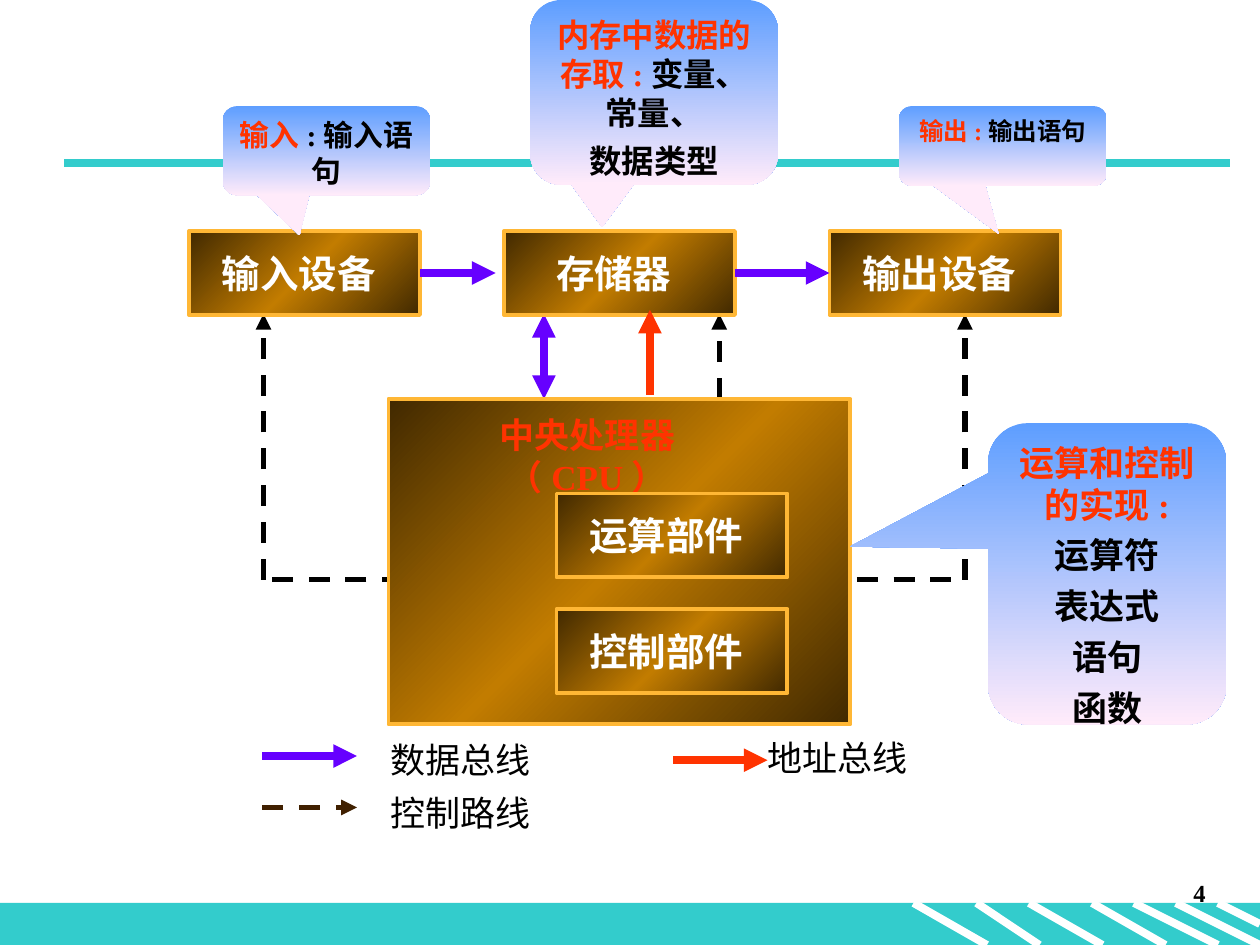
import copy
from dataclasses import dataclass

import pptx
import pptx.dml.color
import pptx.enum.dml
import pptx.enum.shapes
import pptx.enum.text
import pptx.oxml.ns
import pptx.oxml.xmlchemy
import pptx.util

CELLS_PER_INCH = 12
COLUMNS, ROWS = 120, 90
DEVICE_WIDTH, DEVICE_HEIGHT = 22, 8
qn = pptx.oxml.ns.qn
SHAPES = pptx.enum.shapes.MSO_SHAPE
ALIGN = pptx.enum.text.PP_ALIGN


@dataclass(frozen=True)
class Theme:
    teal: str = "33CCCC"
    white: str = "FFFFFF"
    black: str = "000000"
    red: str = "FF3300"
    purple: str = "6600FF"
    brown: str = "402000"
    gold: str = "FFB735"
    bronze: tuple = ("412900", "C27C00", "412900")
    sky: tuple = ("5E9EFF", "FFEBFA")
    serif: str = "Times New Roman"
    sans: str = "Noto Sans CJK SC"
    device_size: float = 22
    label_size: float = 20
    number_size: float = 14
    thick: float = 4.5
    thin: float = 3
    border: float = 2.25


THEME = Theme()


@dataclass(frozen=True)
class Area:
    column: float
    row: float
    width: float
    height: float


@dataclass(frozen=True)
class Route:
    begin: tuple
    end: tuple
    color: str
    width: float = THEME.thick
    dashed: bool = False
    heads: tuple = ("tailEnd",)


@dataclass(frozen=True)
class Callout:
    area: Area
    pointer: tuple
    size: float
    paragraphs: list


def cells(count: float) -> int:
    return pptx.util.Inches(count / CELLS_PER_INCH)


def rgb(value: str):
    return pptx.dml.color.RGBColor.from_string(value)


def place(area: Area) -> tuple:
    return tuple(cells(n) for n in (area.column, area.row, area.width, area.height))


def write_text(frame, paragraphs, *, size, color=THEME.black, font=THEME.serif,
               bold=True, align=ALIGN.CENTER, space=5, side_margin=0.1):
    frame.word_wrap = True
    frame.vertical_anchor = pptx.enum.text.MSO_ANCHOR.TOP
    frame.margin_left = frame.margin_right = pptx.util.Inches(side_margin)
    if isinstance(paragraphs, str):
        paragraphs = [[(paragraphs, color)]]
    for index, runs in enumerate(paragraphs):
        paragraph = frame.add_paragraph() if index else frame.paragraphs[0]
        paragraph.alignment = align
        if index:
            paragraph.space_before = pptx.util.Pt(space)
        for text, run_color in runs:
            run = paragraph.add_run()
            run.text = text
            run.font.size = pptx.util.Pt(size)
            run.font.bold = bold
            run.font.name = font
            run.font.color.rgb = rgb(run_color)
            east_asian = pptx.oxml.xmlchemy.OxmlElement("a:ea")
            east_asian.set("typeface", THEME.sans)
            run.font._element.find(qn("a:latin")).addnext(east_asian)


def add_text(slide, area: Area, text: str, **text_format):
    box = slide.shapes.add_textbox(*place(area))
    write_text(box.text_frame, text, **text_format)


def add_line(slide, route: Route):
    connector = slide.shapes.add_connector(
        pptx.enum.shapes.MSO_CONNECTOR.STRAIGHT,
        *(cells(n) for n in route.begin + route.end))
    connector.line.color.rgb = rgb(route.color)
    connector.line.width = pptx.util.Pt(route.width)
    if route.dashed:
        connector.line.dash_style = pptx.enum.dml.MSO_LINE.DASH
    properties = connector._element.spPr
    for head in route.heads:
        arrowhead = pptx.oxml.xmlchemy.OxmlElement(f"a:{head}")
        arrowhead.set("type", "triangle")
        properties.find(qn("a:ln")).append(arrowhead)
    properties.append(pptx.oxml.xmlchemy.OxmlElement("a:effectLst"))
    return connector


def add_filled(slide, kind, area: Area, colors: tuple, angle: float = 0, border=None):
    shape = slide.shapes.add_shape(kind, *place(area))
    shape.shadow.inherit = False
    if len(colors) == 1:
        shape.fill.solid()
        shape.fill.fore_color.rgb = rgb(colors[0])
    else:
        shape.fill.gradient()
        shape.fill.gradient_angle = angle
        stop_list = shape._element.spPr.find(".//" + qn("a:gsLst"))
        for _ in colors[2:]:
            stop_list.insert(1, copy.deepcopy(stop_list[0]))
        for index, (stop, color) in enumerate(zip(shape.fill.gradient_stops, colors)):
            stop.position = index / (len(colors) - 1)
            stop.color.rgb = rgb(color)
    if border:
        shape.line.color.rgb = rgb(border)
        shape.line.width = pptx.util.Pt(THEME.border)
    else:
        shape.line.fill.background()
    return shape


def add_device(slide, column: float, row: float, name: str):
    area = Area(column, row, DEVICE_WIDTH, DEVICE_HEIGHT)
    device = add_filled(slide, SHAPES.RECTANGLE, area, THEME.bronze, 315, THEME.gold)
    add_text(slide, Area(column + 1.2, row + 1.2, 18.5, 5.6), name,
             size=THEME.device_size, color=THEME.white)
    return device


def add_callout(slide, callout: Callout):
    shape = add_filled(slide, SHAPES.ROUNDED_RECTANGULAR_CALLOUT, callout.area, THEME.sky, 270)
    for index, value in enumerate(callout.pointer + (0.167,)):
        shape.adjustments[index] = value
    write_text(shape.text_frame, callout.paragraphs, size=callout.size)


def add_background(slide):
    add_filled(slide, SHAPES.RECTANGLE, Area(0, 86, COLUMNS, 4), (THEME.teal,))
    stripes = ((93, 99, 90), (87, 94, 90), (98, 105, 90), (112, 120, 90),
               (108, 116, 90), (116, 120, 88), (104, 111, 90))
    for left, right, bottom in stripes:
        add_line(slide, Route((left, 86), (right, bottom), THEME.white, heads=()))
    add_line(slide, Route((6.1, 15.5), (117.1, 15.5), THEME.teal, heads=()))
    add_text(slide, Area(91, 83, 25, 6), "4", size=THEME.number_size, align=ALIGN.RIGHT)


def add_legend(slide):
    routes = (Route((25, 72), (34, 72), THEME.purple),
              Route((25, 76.9), (34, 76.9), THEME.brown, THEME.thin, True),
              Route((64.1, 72.4), (73.1, 72.4), THEME.red))
    labels = ((Area(36, 69.7, 19.3, 5.3), "数据总线"),
              (Area(36, 74.8, 36, 5.3), "控制路线"),
              (Area(71.9, 69.6, 19.3, 5.3), "地址总线"))
    for route, (area, text) in zip(routes, labels):
        add_line(slide, route)
        add_text(slide, area, text, size=THEME.label_size, font=THEME.sans,
                 bold=False, align=ALIGN.LEFT)


def add_machine(slide):
    control = ((38.4, 55.2, 25.1, 55.2, ()), (81.6, 55.2, 91.9, 55.2, ()),
               (25.1, 55.2, 25.1, 29.9, ("tailEnd",)),
               (91.9, 55.2, 91.9, 29.9, ("tailEnd",)),
               (68.5, 38, 68.5, 29.9, ("tailEnd",)))
    for left, top, right, bottom, heads in control:
        add_line(slide, Route((left, top), (right, bottom), THEME.black, THEME.thin, True, heads))
    add_line(slide, Route((51.8, 38), (51.8, 29.9), THEME.purple, heads=("headEnd", "tailEnd")))
    source, target, memory = (add_device(slide, column, 22, name) for column, name in
                              ((18, "输入设备"), (79, "输出设备"), (48, "存储器")))
    add_line(slide, Route((40, 26), (47.2, 26), THEME.purple)).begin_connect(source, 3)
    output = add_line(slide, Route((70, 26), (79, 26), THEME.purple))
    output.begin_connect(memory, 3)
    output.end_connect(target, 1)
    add_filled(slide, SHAPES.RECTANGLE, Area(37, 38, 44, 31), THEME.bronze, 315, THEME.gold)
    add_text(slide, Area(39.1, 38.8, 33.7, 9.2), "中央处理器（CPU）",
             size=THEME.label_size, color=THEME.red, side_margin=0.4)
    for row, name in ((47, "运算部件"), (58, "控制部件")):
        add_device(slide, 53, row, name)
    add_line(slide, Route((61.9, 37.6), (61.9, 29.5), THEME.red))


def main():
    presentation = pptx.Presentation()
    presentation.slide_width, presentation.slide_height = cells(COLUMNS), cells(ROWS)
    slide = presentation.slides.add_slide(presentation.slide_layouts[6])
    add_background(slide)
    add_legend(slide)
    add_machine(slide)
    red, black = THEME.red, THEME.black
    callouts = (
        Callout(Area(50.5, 0, 23.6, 17.6), (-0.21, 0.73), 18.5,
                [[("内存中数据的存取:", red), ("变量、常量、", black)], [("数据类型", black)]]),
        Callout(Area(21.2, 10.1, 19.8, 8.5), (-0.13, 0.95), 17,
                [[("输入", red), (":输入语句", black)]]),
        Callout(Area(85.6, 10.1, 19.8, 7.6), (-0.02, 1.1), 14,
                [[("输出:", red), ("输出语句", black)]]),
        Callout(Area(94.1, 40.3, 22.7, 28.7), (-1.08, -0.09), 20,
                [[("运算和控制的实现:", red)]]
                + [[(text, black)] for text in ("运算符", "表达式", "语句", "函数")]))
    for callout in callouts:
        add_callout(slide, callout)
    presentation.save("out.pptx")


if __name__ == "__main__":
    main()
